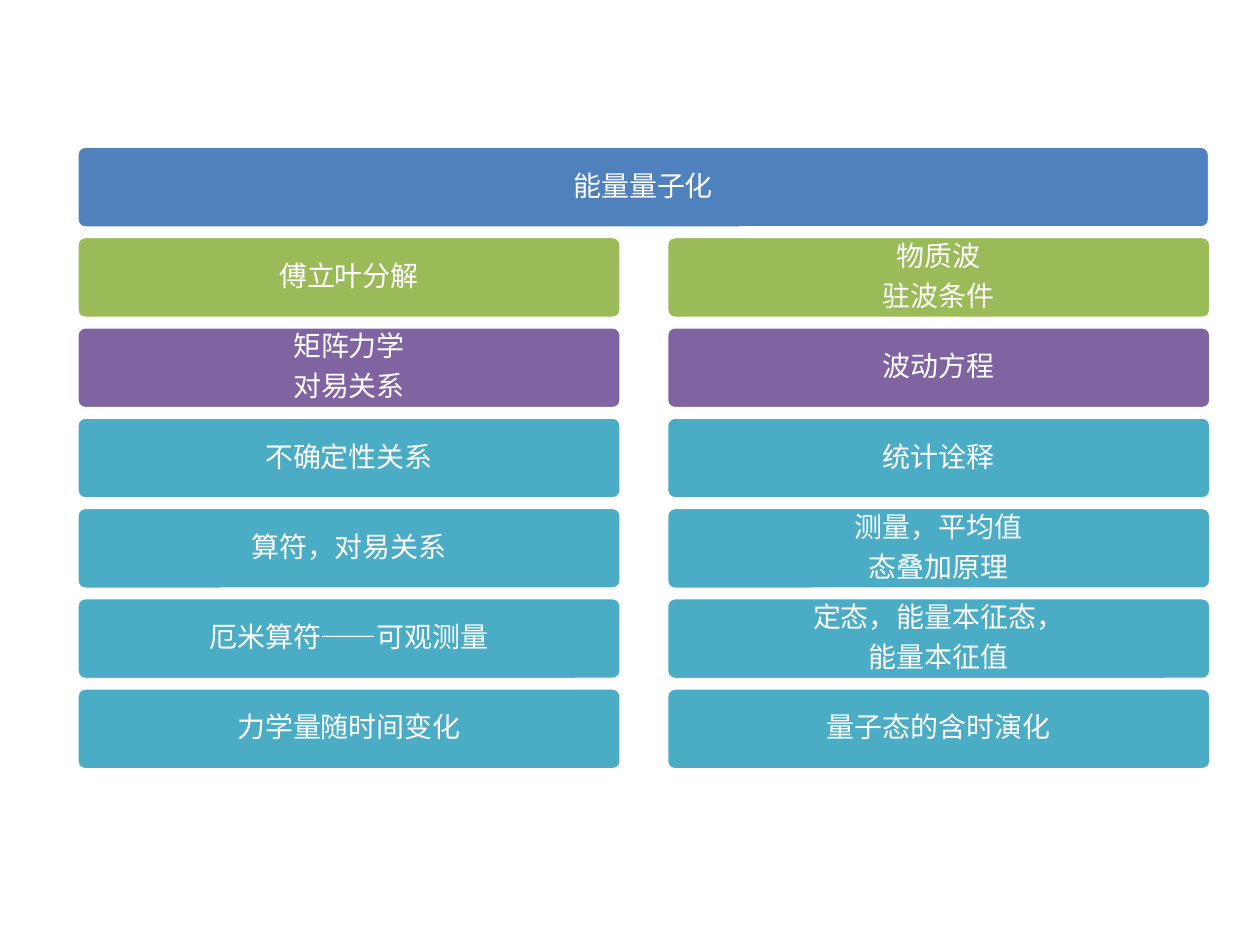
"""Build a slide tracing energy quantization through matrix and wave mechanics."""
from dataclasses import dataclass

from pptx import Presentation
from pptx.dml.color import RGBColor
from pptx.enum.shapes import MSO_SHAPE
from pptx.enum.text import MSO_ANCHOR, PP_ALIGN
from pptx.util import Inches, Pt


@dataclass(frozen=True)
class Theme:
    root: str = "4F81BD"
    origin: str = "9BBB59"
    theory: str = "8064A2"
    concept: str = "4BACC6"
    white: str = "FFFFFF"
    font: str = "Times New Roman"
    size: float = 16
    border: float = 2
    paragraph_gap: float = 5.6


theme = Theme()
LEFT, RIGHT, TOP = 0.61, 5.29, 1.16
FULL_WIDTH, HALF_WIDTH, HEIGHT = 8.99, 4.32, 0.65
ROW_STEP = 4.3 / 6

matrix_mechanics = [
    ["傅立叶分解"],
    ["矩阵力学", "对易关系"],
    ["不确定性关系"],
    ["算符，对易关系"],
    ["厄米算符——可观测量"],
    ["力学量随时间变化"],
]
wave_mechanics = [
    ["物质波", "驻波条件"],
    ["波动方程"],
    ["统计诠释"],
    ["测量，平均值", "态叠加原理"],
    ["定态，能量本征态，", "能量本征值"],
    ["量子态的含时演化"],
]
row_colors = [theme.origin, theme.theory] + [theme.concept] * 4

presentation = Presentation()
presentation.slide_width = Inches(10)
presentation.slide_height = Inches(7.5)
slide = presentation.slides.add_slide(presentation.slide_layouts[6])


def add_block(left, row, width, color, lines):
    block = slide.shapes.add_shape(
        MSO_SHAPE.ROUNDED_RECTANGLE,
        Inches(left), Inches(TOP + row * ROW_STEP), Inches(width), Inches(HEIGHT),
    )
    block.adjustments[0] = 0.1
    block.shadow.inherit = False
    block.fill.solid()
    block.fill.fore_color.rgb = RGBColor.from_string(color)
    block.line.color.rgb = RGBColor.from_string(theme.white)
    block.line.width = Pt(theme.border)

    frame = block.text_frame
    frame.word_wrap = True
    frame.vertical_anchor = MSO_ANCHOR.MIDDLE
    frame.margin_left = frame.margin_right = Inches(0.07)
    frame.margin_top = frame.margin_bottom = Inches(0.07)
    frame.text = "\n".join(lines)
    for paragraph in frame.paragraphs:
        paragraph.alignment = PP_ALIGN.CENTER
        paragraph.line_spacing = 0.9
        paragraph.space_after = Pt(theme.paragraph_gap)
        paragraph.font.name = theme.font
        paragraph.font.size = Pt(theme.size)
        paragraph.font.color.rgb = RGBColor.from_string(theme.white)


add_block(LEFT, 0, FULL_WIDTH, theme.root, ["能量量子化"])
for left, topics in ((LEFT, matrix_mechanics), (RIGHT, wave_mechanics)):
    for row, (color, lines) in enumerate(zip(row_colors, topics), start=1):
        add_block(left, row, HALF_WIDTH, color, lines)

presentation.save("out.pptx")
